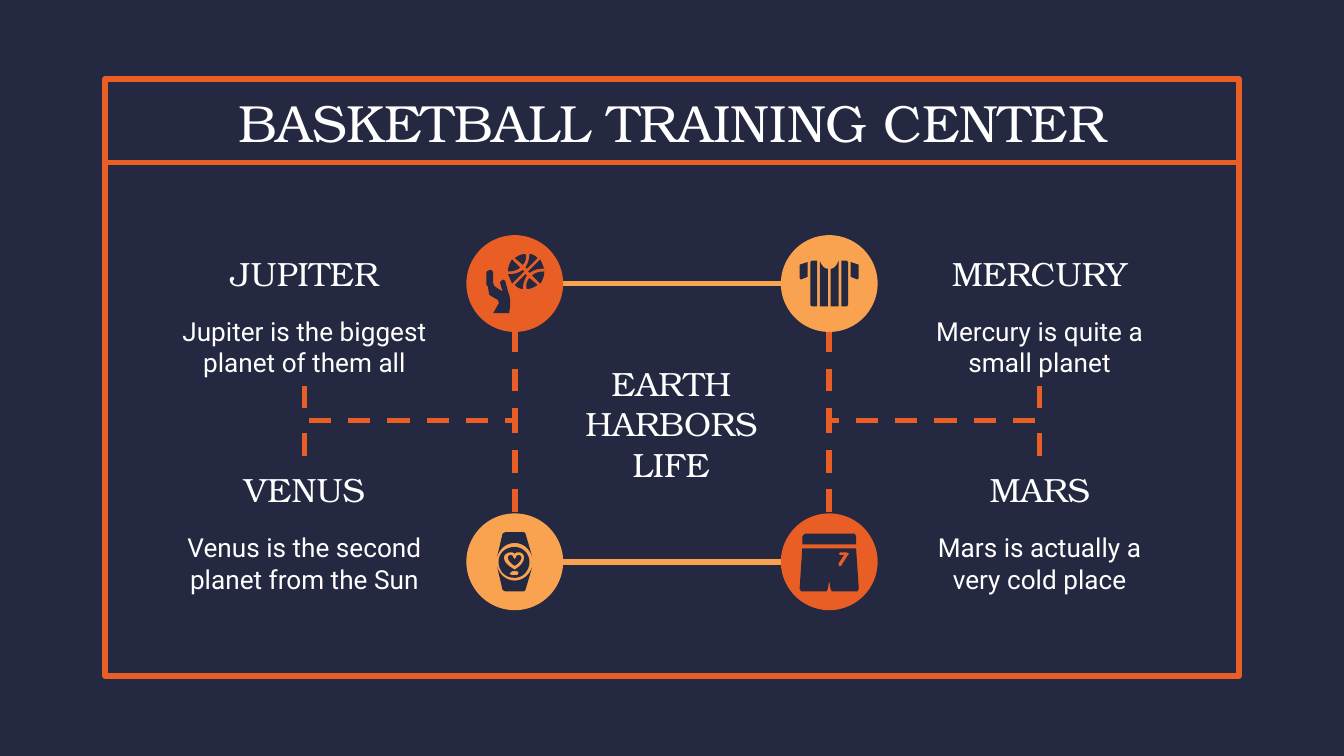
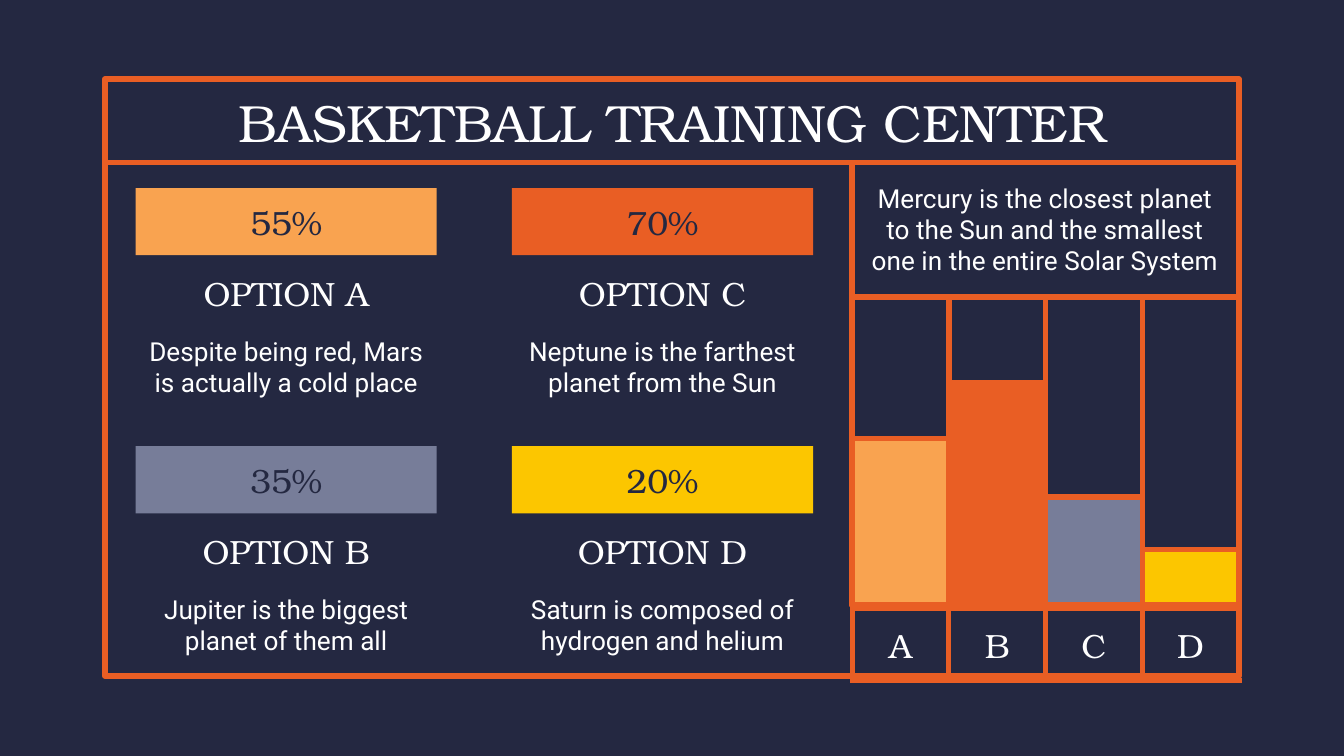
"""Build two basketball training slides on a grid of 100 columns by 56.25 rows."""
from typing import Any, Callable, NamedTuple, Optional

import pptx
import pptx.dml.color
import pptx.enum.dml
import pptx.enum.shapes
import pptx.enum.text
import pptx.oxml
import pptx.oxml.ns
import pptx.util

RGBColor = pptx.dml.color.RGBColor
Shapes = pptx.enum.shapes.MSO_SHAPE
Connectors = pptx.enum.shapes.MSO_CONNECTOR
Anchor = pptx.enum.text.MSO_ANCHOR
Align = pptx.enum.text.PP_ALIGN
qn = pptx.oxml.ns.qn

NAVY = RGBColor(0x24, 0x28, 0x41)
ORANGE = RGBColor(0xE9, 0x5E, 0x24)
AMBER = RGBColor(0xF9, 0xA3, 0x50)
GREY = RGBColor(0x77, 0x7D, 0x99)
YELLOW = RGBColor(0xFC, 0xC6, 0x00)
WHITE = RGBColor(0xFF, 0xFF, 0xFF)

SLIDE_WIDTH = pptx.util.Inches(10)
SLIDE_HEIGHT = pptx.util.Inches(5.625)
COLUMN = SLIDE_WIDTH / 100
ROW = SLIDE_HEIGHT / 56.25
LINE_WIDTH = pptx.util.Pt(3)
INSET = pptx.util.Emu(round(COLUMN))
TITLE = "BASKETBALL TRAINING CENTER"

Point = tuple[float, float]
Contour = list[tuple[float, ...]]
Outline = list[Contour]


class Box(NamedTuple):
    """A rectangle in columns and rows."""
    left: float
    top: float
    width: float
    height: float

    def emu(self) -> tuple[int, int, int, int]:
        """Return left, top, width and height in EMU."""
        return (round(self.left * COLUMN), round(self.top * ROW),
                round(self.width * COLUMN), round(self.height * ROW))


class TextStyle(NamedTuple):
    """Font, size, colour and space after of a text."""
    font: str
    size: float
    color: RGBColor = WHITE
    space_after: float = 0


class Icon(NamedTuple):
    """Outlines in tenths of a cell around a centre; paired ones are drawn again reflected."""
    paired: list[Outline]
    single: list[Outline]
    reflect: Callable[[float, float], Point]


class Badge(NamedTuple):
    """A coloured circle holding an icon."""
    x: float
    y: float
    color: RGBColor
    icon: Icon


class Entry(NamedTuple):
    """A heading with its description."""
    left: float
    top: float
    heading: str
    body: str


class Option(NamedTuple):
    """An entry with a percentage above it."""
    entry: Entry
    percent: str
    color: RGBColor


class Bar(NamedTuple):
    """One labelled column, filled to a share of its height."""
    label: str
    share: float
    color: RGBColor


TITLE_STYLE = TextStyle("TeX Gyre Bonum", 28)
HEADING = TextStyle("TeX Gyre Bonum", 18, space_after=12)
PERCENT = HEADING._replace(color=NAVY)
LABEL = HEADING._replace(space_after=0)
BODY = TextStyle("Roboto", 14)

FRAME = Box(7.8, 5.9, 84.4, 44.4)
TITLE_BOX = FRAME._replace(height=6.3)
RULE_Y = 12.1

JERSEY = Icon(
    [[[(-7, -17), (-7, 17), (-1, 17), (-1, -11), (-4, -11, -6, -14, -7, -17)]],
     [[(-13, -17), (-14, -16), (-14, 16), (-13, 17), (-9, 17), (-9, -17)]],
     [[(-16, -16), (-22, -14), (-22, -4), (-21, -3), (-16, -5)]]],
    [], lambda x, y: (-x, y))
BALL_IN_HAND = Icon(
    [[[(8, -22), (5, -22, 3, -21, 0, -19), (6, -14), (8, -16, 9, -19, 8, -22)]],
     [[(-2, -18), (-4, -15, -5, -12, -5, -9), (-1, -9, 2, -10, 4, -12)]],
     [[(11, -22), (11, -19, 10, -15, 8, -12), (9, -11), (17, -19),
       (15, -21, 13, -22, 11, -22)]],
     [[(6, -10), (3, -8, 0, -7, -4, -7), (-5, -7), (-4, -5, -3, -2, -2, 0), (7, -9)]]],
    [[[(-18, -10), (-20, -10, -21, -9, -21, -8), (-21, 1), (-20, 2), (-19, 8),
       (-18, 9), (-13, 12), (-12, 12, -12, 14, -12, 15), (-16, 22), (-4, 22),
       (-4, 21), (-3, 16, -3, 10, -5, 6), (-7, -2), (-9, -3), (-11, -1), (-9, 6),
       (-15, 2), (-16, 0), (-16, -8), (-17, -10)]]],
    lambda x, y: (17 - x, -18 - y))
WATCH = Icon(
    [[[(-7, -22), (-9, -21), (-13, -4), (-11, -10, -6, -14, 0, -14),
       (6, -14, 11, -10, 13, -4), (8, -21), (7, -22)]]],
    [[[(-3, -5), (-4, -5, -5, -4, -5, -3), (-5, -1, -2, 2, 0, 3),
       (2, 2, 5, -1, 5, -3), (5, -4, 4, -5, 3, -5), (2, -5, 1, -4, 1, -3),
       (0, -2), (-1, -3), (-1, -4, -2, -5, -3, -5)]],
     [[(0, -11), (-7, -11, -12, -6, -12, 0), (-12, 7, -7, 12, 0, 12),
       (6, 12, 11, 7, 11, 0), (11, -6, 6, -11, 0, -11)],
      [(3, -7), (6, -7, 7, -5, 7, -3), (7, 2, 1, 5, 0, 6), (-1, 5, -8, 2, -8, -3),
       (-8, -5, -6, -7, -3, -7), (-2, -7, -1, -7, 0, -6), (1, -7, 2, -7, 3, -7)],
      [(2, 7), (3, 8), (2, 10), (-2, 10), (-4, 9), (-2, 7)]]],
    lambda x, y: (x, -y))
SHORTS = Icon(
    [],
    [[[(-18, -21), (-20, -19), (-20, -13), (20, -13), (20, -19), (19, -21)]],
     [[(-20, -10), (-22, 20), (-21, 22), (-2, 22), (-1, 20), (0, 14), (1, 20),
       (2, 22), (21, 22), (22, 20), (20, -10)],
      [(13, -7), (15, -6), (14, -5), (9, 3), (7, 3), (7, 1), (11, -5), (8, -5),
       (7, -6), (8, -7)]]],
    lambda x, y: (x, y))

LEFT_X, RIGHT_X = 38.3, 61.7
UPPER_Y, LOWER_Y = 21.1, 41.8
RADIUS = 3.6
BRANCH_Y = 31.3
BADGES = [
    Badge(LEFT_X, UPPER_Y, ORANGE, BALL_IN_HAND),
    Badge(RIGHT_X, UPPER_Y, AMBER, JERSEY),
    Badge(LEFT_X, LOWER_Y, AMBER, WATCH),
    Badge(RIGHT_X, LOWER_Y, ORANGE, SHORTS),
]
PLANET_WIDTH = 20.9
PLANETS = [
    Entry(12.2, 17.8, "JUPITER", "Jupiter is the biggest planet of them all"),
    Entry(12.2, 33.9, "VENUS", "Venus is the second planet from the Sun"),
    Entry(66.9, 33.9, "MARS", "Mars is actually a very cold place"),
    Entry(66.9, 17.8, "MERCURY", "Mercury is quite a small planet"),
]
OPTION_WIDTH = 22.4
OPTIONS = [
    Option(Entry(10.1, 19.3, "OPTION A", "Despite being red, Mars is actually a cold place"),
           "55%", AMBER),
    Option(Entry(38.1, 19.3, "OPTION C", "Neptune is the farthest planet from the Sun"),
           "70%", ORANGE),
    Option(Entry(10.1, 38.5, "OPTION B", "Jupiter is the biggest planet of them all"),
           "35%", GREY),
    Option(Entry(38.1, 38.5, "OPTION D", "Saturn is composed of hydrogen and helium"),
           "20%", YELLOW),
]
BARS = [Bar("A", 0.54, AMBER), Bar("B", 0.72, ORANGE),
        Bar("C", 0.35, GREY), Bar("D", 0.18, YELLOW)]
BAR_AREA = Box(63.4, 22.1, 28.8, 22.9)
BAR_WIDTH = BAR_AREA.width / len(BARS)


def write(frame: Any, text: str, style: TextStyle) -> None:
    """Put one centred paragraph into a text frame."""
    frame.text = text
    paragraph = frame.paragraphs[0]
    paragraph.alignment = Align.CENTER
    paragraph.space_after = pptx.util.Pt(style.space_after)
    paragraph.font.name = style.font
    paragraph.font.size = pptx.util.Pt(style.size)
    paragraph.font.color.rgb = style.color
    paragraph.font.bold = False


def set_frame(frame: Any, anchor: Any) -> None:
    """Give a text frame its insets, wrapping and anchor."""
    frame.margin_left = frame.margin_right = frame.margin_top = frame.margin_bottom = INSET
    frame.word_wrap = True
    frame.auto_size = pptx.enum.text.MSO_AUTO_SIZE.NONE
    frame.vertical_anchor = anchor


def add_text(slide: Any, box: Box, text: str, style: TextStyle, anchor: Any) -> None:
    """Add a wrapped text box."""
    frame = slide.shapes.add_textbox(*box.emu()).text_frame
    set_frame(frame, anchor)
    write(frame, text, style)


def paint(shape: Any, fill: Optional[RGBColor], line: Optional[RGBColor]) -> None:
    """Set fill and line of a shape and drop its shadow."""
    shape.shadow.inherit = False
    if fill is None:
        shape.fill.background()
    else:
        shape.fill.solid()
        shape.fill.fore_color.rgb = fill
    if line is None:
        shape.line.fill.background()
    else:
        shape.line.color.rgb = line
        shape.line.width = LINE_WIDTH


def add_shape(slide: Any, kind: Any, box: Box, fill: Optional[RGBColor] = None,
              line: Optional[RGBColor] = None) -> Any:
    """Add a preset shape."""
    shape = slide.shapes.add_shape(kind, *box.emu())
    paint(shape, fill, line)
    return shape


def add_line(slide: Any, start: Point, end: Point, color: RGBColor,
             kind: Any = Connectors.STRAIGHT) -> Any:
    """Add a connector without shadow."""
    connector = slide.shapes.add_connector(
        kind, round(start[0] * COLUMN), round(start[1] * ROW),
        round(end[0] * COLUMN), round(end[1] * ROW))
    connector.line.color.rgb = color
    connector.line.width = LINE_WIDTH
    pptx.oxml.ns and connector.element.spPr.append(
        pptx.oxml.parse_xml(f'<a:effectLst {pptx.oxml.ns.nsdecls("a")}/>'))
    return connector


def add_branch(slide: Any, start: Point, end: Point) -> None:
    """Add a dashed elbow that leaves vertically and crosses over at the branch row."""
    rise, run = end[1] - start[1], end[0] - start[0]
    width, height = abs(rise), abs(run)
    left = (start[0] + end[0] - width) / 2
    top = (start[1] + end[1] - height) / 2
    near, far = (left + width, left) if (run > 0) == (rise > 0) else (left, left + width)
    elbow = add_line(slide, (near, top), (far, top + height), ORANGE, Connectors.ELBOW)
    elbow.line.dash_style = pptx.enum.dml.MSO_LINE.DASH
    properties = elbow.element.spPr
    properties.find(qn("a:xfrm")).set("rot", str((270 if run > 0 else 90) * 60000))
    bend = round((BRANCH_Y - start[1]) / rise * 100000)
    guides = properties.find(qn("a:prstGeom")).find(qn("a:avLst"))
    guides.append(pptx.oxml.parse_xml(
        f'<a:gd {pptx.oxml.ns.nsdecls("a")} name="adj1" fmla="val {bend}"/>'))


def flatten(contour: Contour, steps: int = 8) -> list[Point]:
    """Turn corners and cubic curves into a list of points."""
    points: list[Point] = []
    for part in contour:
        if len(part) == 2:
            points.append((part[0], part[1]))
            continue
        controls = [points[-1], part[:2], part[2:4], part[4:]]
        for step in range(1, steps + 1):
            t = step / steps
            weights = ((1 - t) ** 3, 3 * t * (1 - t) ** 2, 3 * t * t * (1 - t), t ** 3)
            points.append((sum(w * c[0] for w, c in zip(weights, controls)),
                           sum(w * c[1] for w, c in zip(weights, controls))))
    return points


def add_badge(slide: Any, badge: Badge) -> None:
    """Add a circle and draw its icon."""
    circle = Box(badge.x - RADIUS, badge.y - RADIUS, 2 * RADIUS, 2 * RADIUS)
    add_shape(slide, Shapes.OVAL, circle, badge.color)
    outlines = [[flatten(contour) for contour in outline]
                for outline in badge.icon.paired + badge.icon.single]
    outlines += [[[badge.icon.reflect(*point) for point in contour] for contour in outline]
                 for outline in outlines[:len(badge.icon.paired)]]
    for outline in outlines:
        contours = [[((badge.x + x / 10) * COLUMN, (badge.y + y / 10) * ROW)
                     for x, y in contour] for contour in outline]
        builder = slide.shapes.build_freeform(*contours[0][0], scale=1.0)
        for contour in contours:
            builder.move_to(*contour[0])
            builder.add_line_segments(contour[1:], close=True)
        paint(builder.convert_to_shape(), NAVY, None)


def add_entry(slide: Any, entry: Entry, width: float) -> None:
    """Add a heading and the description below it."""
    add_text(slide, Box(entry.left, entry.top, width, 5), entry.heading, HEADING, Anchor.BOTTOM)
    add_text(slide, Box(entry.left, entry.top + 4.65, width, 6.3), entry.body, BODY, Anchor.TOP)


def add_labels(slide: Any) -> None:
    """Add the one-row table of bar labels."""
    box = Box(BAR_AREA.left, 45.3, BAR_AREA.width, 5)
    table = slide.shapes.add_table(1, len(BARS), *box.emu()).table
    table.first_row = table.horz_banding = False
    for cell, bar in zip(table.rows[0].cells, BARS):
        cell.margin_left = cell.margin_right = cell.margin_top = cell.margin_bottom = INSET
        cell.vertical_anchor = Anchor.MIDDLE
        write(cell.text_frame, bar.label, LABEL)
        for side in "LRTB":
            cell._tc.get_or_add_tcPr().append(pptx.oxml.parse_xml(
                f'<a:ln{side} {pptx.oxml.ns.nsdecls("a")} w="{LINE_WIDTH}"><a:solidFill>'
                f'<a:srgbClr val="{ORANGE}"/></a:solidFill></a:ln{side}>'))
        cell.fill.background()


def add_slide(presentation: Any) -> Any:
    """Add a slide with the shared frame and title."""
    slide = presentation.slides.add_slide(presentation.slide_layouts[5])
    add_shape(slide, Shapes.RECTANGLE, FRAME, line=ORANGE)
    add_line(slide, (8, RULE_Y), (92, RULE_Y), ORANGE)
    title = slide.shapes.title
    title.left, title.top, title.width, title.height = TITLE_BOX.emu()
    set_frame(title.text_frame, Anchor.MIDDLE)
    write(title.text_frame, TITLE, TITLE_STYLE)
    return slide


def build_planets(presentation: Any) -> None:
    """Build the slide of four linked planets."""
    slide = add_slide(presentation)
    for y in (UPPER_Y, LOWER_Y):
        add_line(slide, (LEFT_X + RADIUS, y), (RIGHT_X - RADIUS, y), AMBER)
    for badge in BADGES:
        add_badge(slide, badge)
    for planet in PLANETS:
        add_entry(slide, planet, PLANET_WIDTH)
    add_text(slide, Box(39.5, 26.4, PLANET_WIDTH, 10.2), "EARTH HARBORS LIFE",
             HEADING, Anchor.MIDDLE)
    for text_x, badge_x in ((22.65, LEFT_X), (77.35, RIGHT_X)):
        add_branch(slide, (text_x, 28.7), (badge_x, UPPER_Y + RADIUS))
        add_branch(slide, (text_x, 33.9), (badge_x, LOWER_Y - RADIUS))


def build_options(presentation: Any) -> None:
    """Build the slide of four options and their bars."""
    slide = add_slide(presentation)
    for index, bar in enumerate(BARS):
        column = BAR_AREA._replace(left=BAR_AREA.left + index * BAR_WIDTH, width=BAR_WIDTH)
        height = bar.share * column.height
        add_shape(slide, Shapes.RECTANGLE, column, line=ORANGE)
        add_shape(slide, Shapes.RECTANGLE, column._replace(
            top=column.top + column.height - height, height=height), bar.color, ORANGE)
    add_text(slide, Box(63.4, 12.6, 28.7, 8.9), "Mercury is the closest planet to the Sun "
             "and the smallest one in the entire Solar System", BODY, Anchor.MIDDLE)
    add_line(slide, (BAR_AREA.left, RULE_Y), (BAR_AREA.left, 24.4), ORANGE)
    add_labels(slide)
    for option in OPTIONS:
        add_entry(slide, option.entry, OPTION_WIDTH)
        box = Box(option.entry.left, option.entry.top - 5.3, OPTION_WIDTH, 5)
        frame = add_shape(slide, Shapes.RECTANGLE, box, option.color).text_frame
        set_frame(frame, Anchor.MIDDLE)
        write(frame, option.percent, PERCENT)


def main() -> None:
    """Build and save the presentation."""
    presentation = pptx.Presentation()
    presentation.slide_width, presentation.slide_height = SLIDE_WIDTH, SLIDE_HEIGHT
    background = presentation.slide_master.background.fill
    background.solid()
    background.fore_color.rgb = NAVY
    build_planets(presentation)
    build_options(presentation)
    presentation.save("out.pptx")


if __name__ == "__main__":
    main()
